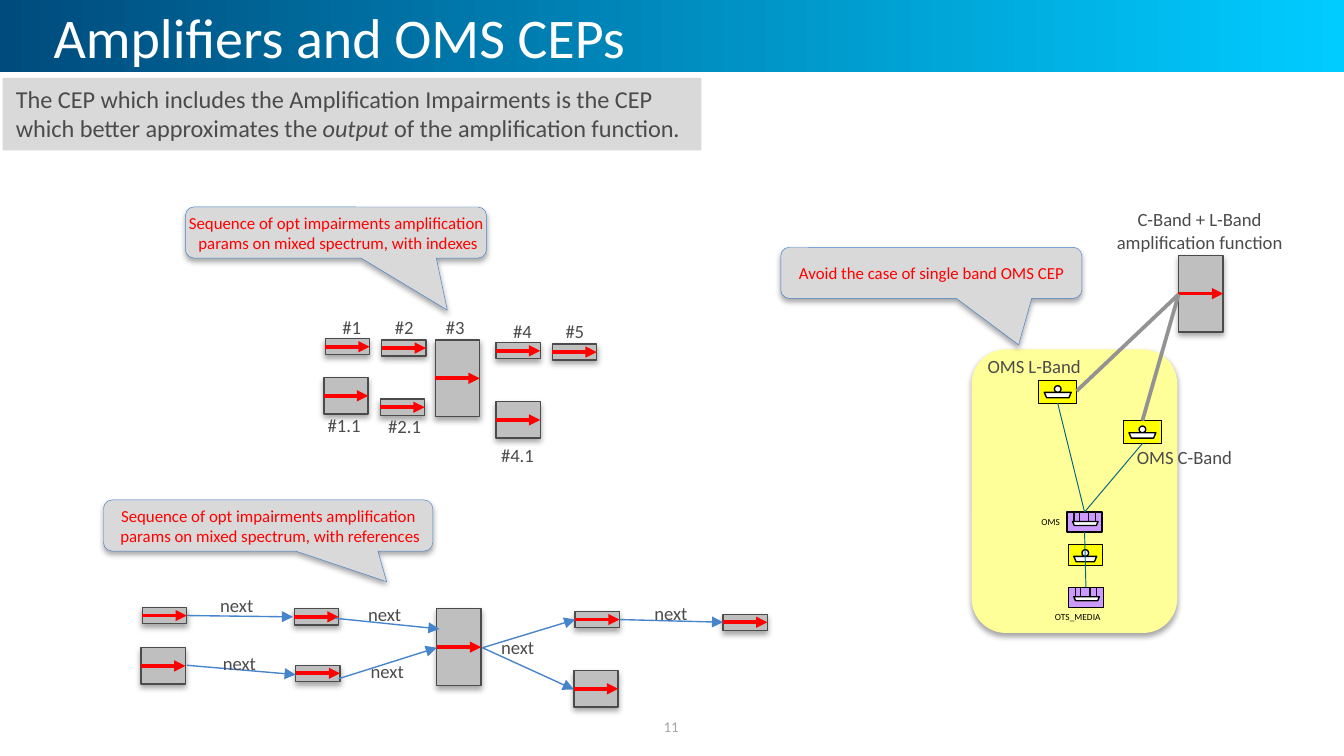
from dataclasses import dataclass
from typing import Any

from lxml.etree import SubElement
from pptx import Presentation
from pptx.dml.color import RGBColor
from pptx.enum.shapes import MSO_CONNECTOR, MSO_SHAPE
from pptx.enum.text import MSO_ANCHOR, MSO_AUTO_SIZE, PP_ALIGN
from pptx.oxml.ns import qn
from pptx.util import Inches, Pt

NAVY = RGBColor(0x00, 0x4B, 0x7D)
CYAN = RGBColor(0x00, 0xCC, 0xFF)
WHITE = RGBColor(0xFF, 0xFF, 0xFF)
BLACK = RGBColor(0x00, 0x00, 0x00)
TICK_BLACK = RGBColor(0x14, 0x13, 0x13)
DARK_GRAY = RGBColor(0x4B, 0x4B, 0x4B)
LINK_GRAY = RGBColor(0x93, 0x93, 0x93)
NUMBER_GRAY = RGBColor(0xA6, 0xA6, 0xA6)
BOX_GRAY = RGBColor(0xBF, 0xBF, 0xBF)
PALE_GRAY = RGBColor(0xD9, 0xD9, 0xD9)
RED = RGBColor(0xFF, 0x00, 0x00)
BLUE = RGBColor(0x46, 0x84, 0xCB)
TEAL = RGBColor(0x00, 0x66, 0x80)
YELLOW = RGBColor(0xFF, 0xFF, 0x00)
PALE_YELLOW = RGBColor(0xFF, 0xFF, 0x99)
PURPLE = RGBColor(0xCC, 0x99, 0xFF)

SLIDE_WIDTH = Inches(10)
SLIDE_HEIGHT = SLIDE_WIDTH * 9 // 16
AMPLIFIER_WIDTH = 0.33
SINGLE, DOUBLE, FULL = 0.12, 0.27, 0.57
LABEL_HEIGHT = 0.27


@dataclass(frozen=True)
class Amplifier:
    left: float
    top: float
    height: float


@dataclass(frozen=True)
class Label:
    text: str
    left: float
    top: float
    width: float
    height: float = LABEL_HEIGHT


@dataclass(frozen=True)
class Callout:
    text: str
    left: float
    top: float
    width: float
    tip_x: float
    tip_y: float


@dataclass(frozen=True)
class Link:
    start: tuple[float, float]
    end: tuple[float, float]


AMPLIFIERS = [
    Amplifier(2.42, 2.52, SINGLE), Amplifier(2.84, 2.53, SINGLE),
    Amplifier(3.24, 2.53, FULL), Amplifier(2.41, 2.81, DOUBLE),
    Amplifier(2.83, 2.97, SINGLE), Amplifier(3.69, 2.55, SINGLE),
    Amplifier(4.11, 2.56, SINGLE), Amplifier(3.69, 2.99, DOUBLE),
    Amplifier(1.06, 4.52, SINGLE), Amplifier(2.19, 4.53, SINGLE),
    Amplifier(3.25, 4.53, FULL), Amplifier(1.05, 4.82, DOUBLE),
    Amplifier(2.2, 4.95, SINGLE), Amplifier(4.28, 4.55, SINGLE),
    Amplifier(5.38, 4.57, SINGLE), Amplifier(4.27, 4.99, DOUBLE),
    Amplifier(8.77, 1.9, FULL),
]
INDEX_LABELS = [
    Label("#1", 2.45, 2.3, 0.34), Label("#2", 2.84, 2.3, 0.34),
    Label("#3", 3.22, 2.3, 0.34), Label("#4", 3.72, 2.33, 0.34),
    Label("#5", 4.11, 2.33, 0.34), Label("#1.1", 2.34, 3.03, 0.45),
    Label("#2.1", 2.79, 3.04, 0.45), Label("#4.1", 3.63, 3.25, 0.45),
]
NEXT_LABELS = [
    Label("next", left, top, 0.45)
    for left, top in [(1.54, 4.37), (1.56, 4.8), (2.64, 4.44),
                      (2.66, 4.86), (3.63, 4.68), (4.77, 4.43)]
]
BAND_LABELS = [Label("OMS C-Band", 8.36, 3.27, 0.92), Label("OMS L-Band", 7.25, 2.59, 0.9)]
NEXT_LINKS = [
    Link((1.39, 4.58), (2.18, 4.59)), Link((1.39, 4.95), (2.2, 5.02)),
    Link((2.49, 4.6), (3.27, 4.68)), Link((2.52, 5.05), (3.25, 4.82)),
    Link((3.59, 4.82), (4.28, 4.61)), Link((3.59, 4.82), (4.27, 5.13)),
    Link((4.61, 4.61), (5.38, 4.63)),
]
BAND_LINKS = [Link((8.01, 2.91), (8.77, 2.19)), Link((8.5, 3.13), (8.77, 2.19))]
LAYER_LINKS = [
    Link((7.87, 3), (8.07, 3.81)), Link((8.5, 3.3), (8.07, 3.81)),
    Link((8.07, 3.96), (8.08, 4.37)),
]
CALLOUTS = [
    Callout("Sequence of opt impairments amplification\n params on mixed spectrum, with indexes",
            1.38, 1.54, 2.24, 0.37, 1.52),
    Callout("Sequence of opt impairments amplification\n params on mixed spectrum, with references",
            0.77, 3.72, 2.45, 0.36, 1.1),
    Callout("Avoid the case of single band OMS CEP", 5.81, 1.84, 2.24, 0.29, 1.41),
]


def draw_shape(shapes: Any, kind: MSO_SHAPE, left: float, top: float, width: float, height: float,
               fill: RGBColor, line: RGBColor | None = None, weight: float = 0.75,
               shadow: bool = False) -> Any:
    shape = shapes.add_shape(kind, Inches(left), Inches(top), Inches(width), Inches(height))
    shape.fill.solid()
    shape.fill.fore_color.rgb = fill
    if line is None:
        shape.line.fill.background()
    else:
        shape.line.color.rgb = line
        shape.line.width = Pt(weight)
    shape.shadow.inherit = False
    if shadow:
        effects = shape.element.spPr.find(qn("a:effectLst"))
        outer = SubElement(effects, qn("a:outerShdw"), blurRad=str(Pt(3.1)), dist=str(Pt(1.8)),
                           dir="5400000", rotWithShape="0")
        color = SubElement(outer, qn("a:srgbClr"), val="000000")
        SubElement(color, qn("a:alpha"), val="35000")
    return shape


def draw_line(shapes: Any, link: Link, color: RGBColor, weight: float, arrow: bool = False) -> None:
    connector = shapes.add_connector(MSO_CONNECTOR.STRAIGHT, *map(Inches, link.start + link.end))
    connector.line.color.rgb = color
    connector.line.width = Pt(weight)
    properties = connector.element.spPr
    if arrow:
        SubElement(properties.find(qn("a:ln")), qn("a:tailEnd"), type="triangle")
    SubElement(properties, qn("a:effectLst"))


def style_text(shape: Any, size: float, color: RGBColor, align: PP_ALIGN = PP_ALIGN.LEFT,
               anchor: MSO_ANCHOR = MSO_ANCHOR.TOP, inset: bool = True) -> None:
    frame = shape.text_frame
    frame.vertical_anchor = anchor
    if not inset:
        frame.margin_left = frame.margin_right = frame.margin_top = frame.margin_bottom = 0
    for paragraph in frame.paragraphs:
        paragraph.alignment = align
        paragraph.font.name = "Calibri"
        paragraph.font.size = Pt(size)
        paragraph.font.color.rgb = color


def draw_label(shapes: Any, label: Label, size: float = 10, color: RGBColor = DARK_GRAY,
               wrap: bool = False, **style: Any) -> Any:
    box = shapes.add_textbox(Inches(label.left), Inches(label.top),
                             Inches(label.width), Inches(label.height))
    box.text_frame.text = label.text
    box.text_frame.word_wrap = wrap
    box.text_frame.auto_size = MSO_AUTO_SIZE.NONE if wrap else MSO_AUTO_SIZE.SHAPE_TO_FIT_TEXT
    style_text(box, size, color, **style)
    return box


def draw_amplifier(shapes: Any, amplifier: Amplifier) -> None:
    left, middle = amplifier.left, amplifier.top + amplifier.height / 2
    draw_shape(shapes, MSO_SHAPE.RECTANGLE, left, amplifier.top, AMPLIFIER_WIDTH,
               amplifier.height, BOX_GRAY, DARK_GRAY, shadow=True)
    draw_line(shapes, Link((left, middle), (left + AMPLIFIER_WIDTH, middle)), RED, 2, arrow=True)


def draw_callout(shapes: Any, callout: Callout) -> None:
    shape = draw_shape(shapes, MSO_SHAPE.ROUNDED_RECTANGULAR_CALLOUT, callout.left, callout.top,
                       callout.width, 0.38, PALE_GRAY, BLUE, 0.25, shadow=True)
    shape.adjustments[0] = callout.tip_x
    shape.adjustments[1] = callout.tip_y
    shape.text_frame.text = callout.text
    style_text(shape, 9, RED, PP_ALIGN.CENTER, MSO_ANCHOR.MIDDLE, inset=False)


def draw_hull(shapes: Any, left: float, top: float, width: float, height: float) -> None:
    hull = draw_shape(shapes, MSO_SHAPE.TRAPEZOID, left, top, width, height, WHITE, BLACK)
    hull.adjustments[0] = 0.43
    hull.rotation = 180


def draw_connection_point(shapes: Any, left: float, top: float, width: float, height: float) -> None:
    draw_shape(shapes, MSO_SHAPE.RECTANGLE, left, top, width, height, YELLOW, BLACK, 0.5)
    draw_shape(shapes, MSO_SHAPE.OVAL, left + (width - 0.05) / 2, top + 0.04, 0.05, 0.05, WHITE, BLACK)
    draw_hull(shapes, left + 0.04, top + 0.09, width - 0.08, 0.04)


def draw_multiplexer(shapes: Any, left: float, top: float) -> None:
    draw_shape(shapes, MSO_SHAPE.RECTANGLE, left, top, 0.26, 0.15, PURPLE, BLACK)
    for offset in (0.05, 0.09, 0.16, 0.21):
        draw_line(shapes, Link((left + offset, top), (left + offset, top + 0.07)), TICK_BLACK, 0.75)
    draw_hull(shapes, left + 0.04, top + 0.07, 0.19, 0.03)


def main() -> None:
    presentation = Presentation()
    presentation.slide_width, presentation.slide_height = SLIDE_WIDTH, SLIDE_HEIGHT
    slide = presentation.slides.add_slide(presentation.slide_layouts[6])
    shapes = slide.shapes

    banner = draw_shape(shapes, MSO_SHAPE.RECTANGLE, 0, 0, 10, 0.54, NAVY)
    banner.fill.gradient()
    banner.fill.gradient_angle = 0
    for stop, color in zip(banner.fill.gradient_stops, (NAVY, CYAN)):
        stop.color.rgb = color
    draw_shape(shapes, MSO_SHAPE.ROUNDED_RECTANGLE, 7.23, 2.6, 1.53, 2.11, PALE_YELLOW, shadow=True)
    title = draw_label(shapes, Label("Amplifiers and OMS CEPs", 0.3, 0, 9.49, 0.58), 30, WHITE, wrap=True)
    title.text_frame.paragraphs[0].line_spacing = Pt(34)
    draw_label(shapes, Label("11", 3.83, 5.26, 2.33, 0.3), 8, NUMBER_GRAY, wrap=True,
               align=PP_ALIGN.CENTER, anchor=MSO_ANCHOR.MIDDLE)

    summary = draw_shape(shapes, MSO_SHAPE.RECTANGLE, 0.02, 0.58, 5.2, 0.54, PALE_GRAY)
    for text in ("The CEP which includes the Amplification Impairments is the CEP "
                 "which better approximates the ", "output", " of the amplification function."):
        run = summary.text_frame.paragraphs[0].add_run()
        run.text = text
        run.font.italic = text == "output"
    style_text(summary, 13, DARK_GRAY)

    for amplifier in AMPLIFIERS:
        draw_amplifier(shapes, amplifier)
    for link in NEXT_LINKS:
        draw_line(shapes, link, BLUE, 0.75, arrow=True)
    for left, top in ((7.73, 2.83), (8.36, 3.13)):
        draw_connection_point(shapes.add_group_shape().shapes, left, top, 0.28, 0.17)
    for link in BAND_LINKS:
        draw_line(shapes, link, LINK_GRAY, 2)
    for callout in CALLOUTS:
        draw_callout(shapes, callout)
    for label in INDEX_LABELS + NEXT_LABELS + BAND_LABELS:
        draw_label(shapes, label)
    draw_label(shapes, Label("C-Band + L-Band\namplification function", 8.2, 1.5, 1.45, 0.44),
               align=PP_ALIGN.CENTER)

    stack = shapes.add_group_shape().shapes
    draw_multiplexer(stack, 7.95, 4.37)
    draw_connection_point(stack, 7.95, 4.05, 0.25, 0.16)
    draw_multiplexer(stack, 7.94, 3.81)
    for label in (Label(" OMS", 7.65, 3.82, 0.32, 0.12), Label("OTS_MEDIA", 7.74, 4.53, 0.56, 0.12)):
        draw_label(stack, label, 5, BLACK, wrap=True, align=PP_ALIGN.CENTER,
                   anchor=MSO_ANCHOR.MIDDLE, inset=False)
    for link in LAYER_LINKS:
        draw_line(shapes, link, TEAL, 0.5)

    presentation.save("out.pptx")


if __name__ == "__main__":
    main()
